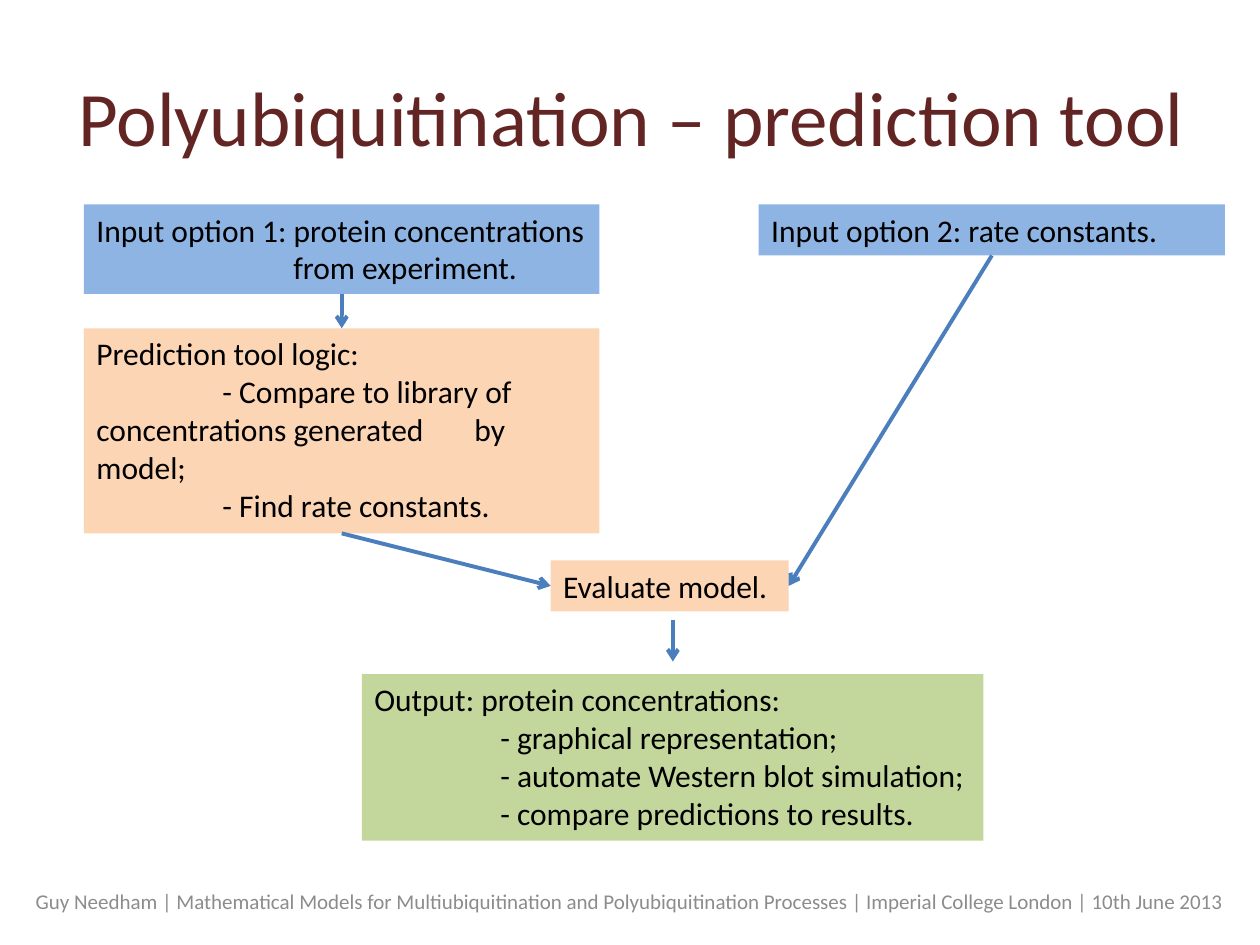
from lxml import etree
from pptx import Presentation
from pptx import util as u
from pptx.dml.color import RGBColor
from pptx.enum import shapes, text
from pptx.oxml.ns import qn

Pt = u.Pt
FONT = "Calibri"
COLORS = {
    "title": "632523",
    "footer": "8C8C8C",
    "body": "000000",
    "input": "8EB4E3",
    "process": "FCD5B5",
    "output": "C3D69B",
    "arrow": "4B7EBC",
}
TITLE = "Polyubiquitination – prediction tool"
FOOTER = (
    "Guy Needham | Mathematical Models for Multiubiquitination and Polyubiquitination Processes"
    " | Imperial College London | 10th June 2013"
)
HANGING = (112.5, -112.5)
STEP = (0, 72)
PLAIN = (0, 0)
LINE_HEIGHT = 22
PADDING = 7.2

BOXES = {
    "concentrations": dict(
        left=48, top=116.8, width=294.6, lines=2, color="input",
        paragraphs=[("Input option 1: protein concentrations from experiment.", HANGING)],
    ),
    "logic": dict(
        left=48, top=187.6, width=294.6, lines=5, color="process",
        paragraphs=[
            ("Prediction tool logic:", PLAIN),
            ("- Compare to library of concentrations generated \tby model;", STEP),
            ("- Find rate constants.", STEP),
        ],
    ),
    "evaluate": dict(
        left=314.7, top=320.2, width=136, lines=1, color="process",
        paragraphs=[("Evaluate model.", PLAIN)],
    ),
    "results": dict(
        left=206.8, top=385.2, width=355.2, lines=4, color="output",
        paragraphs=[
            ("Output: protein concentrations:", PLAIN),
            ("- graphical representation;", STEP),
            ("- automate Western blot simulation;", STEP),
            ("- compare predictions to results.", STEP),
        ],
    ),
    "rates": dict(
        left=433.6, top=116.8, width=266.4, lines=1, color="input",
        paragraphs=[("Input option 2: rate constants.", PLAIN)],
    ),
}
TOP, LEFT, BOTTOM, RIGHT = range(4)
LINKS = [
    ("concentrations", BOTTOM, "logic", TOP),
    ("logic", BOTTOM, "evaluate", LEFT),
    ("rates", BOTTOM, "evaluate", RIGHT),
]
OUTPUT_ARROW = (384.5, 354.3, 384.5, 378)


def rgb(name):
    return RGBColor.from_string(COLORS[name])


def write(frame, paragraphs, size=18, color="body", align=text.PP_ALIGN.LEFT,
          anchor=text.MSO_ANCHOR.TOP):
    frame.word_wrap = True
    frame.vertical_anchor = anchor
    for index, (words, (margin, indent)) in enumerate(paragraphs):
        para = frame.add_paragraph() if index else frame.paragraphs[0]
        para.alignment = align
        properties = para._p.get_or_add_pPr()
        properties.set("marL", str(Pt(margin)))
        properties.set("indent", str(Pt(indent)))
        span = para.add_run()
        span.text = words
        span.font.name = FONT
        span.font.size = Pt(size)
        span.font.color.rgb = rgb(color)


def add_box(page, left, top, width, lines, color, paragraphs):
    height = PADDING + LINE_HEIGHT * lines
    box = page.shapes.add_shape(
        shapes.MSO_SHAPE.RECTANGLE, Pt(left), Pt(top), Pt(width), Pt(height))
    box.shadow.inherit = False
    box.fill.solid()
    box.fill.fore_color.rgb = rgb(color)
    box.line.fill.background()
    write(box.text_frame, paragraphs)
    box.text_frame.auto_size = text.MSO_AUTO_SIZE.SHAPE_TO_FIT_TEXT
    return box


def add_arrow(page, points=(0, 0, 0, 0)):
    arrow = page.shapes.add_connector(
        shapes.MSO_CONNECTOR.STRAIGHT, *(Pt(value) for value in points))
    arrow.line.color.rgb = rgb("arrow")
    arrow.line.width = Pt(2.25)
    etree.SubElement(arrow.line._get_or_add_ln(), qn("a:tailEnd"), type="arrow")
    etree.SubElement(arrow._element.spPr, qn("a:effectLst"))
    return arrow


def main():
    deck = Presentation()
    deck.slide_width, deck.slide_height = Pt(720), Pt(540)
    page = deck.slides.add_slide(deck.slide_layouts[5])
    centred = dict(align=text.PP_ALIGN.CENTER, anchor=text.MSO_ANCHOR.MIDDLE)

    title = page.shapes.title
    title.left, title.top, title.width, title.height = Pt(-14.4), Pt(21), Pt(751), Pt(90)
    write(title.text_frame, [(TITLE, PLAIN)], size=44, color="title", **centred)

    footer = page.shapes.add_textbox(Pt(0), Pt(500.4), Pt(720), Pt(28.8))
    write(footer.text_frame, [(FOOTER, PLAIN)], size=12, color="footer", **centred)

    boxes = {name: add_box(page, **content) for name, content in BOXES.items()}
    for source, source_side, target, target_side in LINKS:
        arrow = add_arrow(page)
        arrow.begin_connect(boxes[source], source_side)
        arrow.end_connect(boxes[target], target_side)
    add_arrow(page, OUTPUT_ARROW)

    deck.save("out.pptx")


if __name__ == "__main__":
    main()
